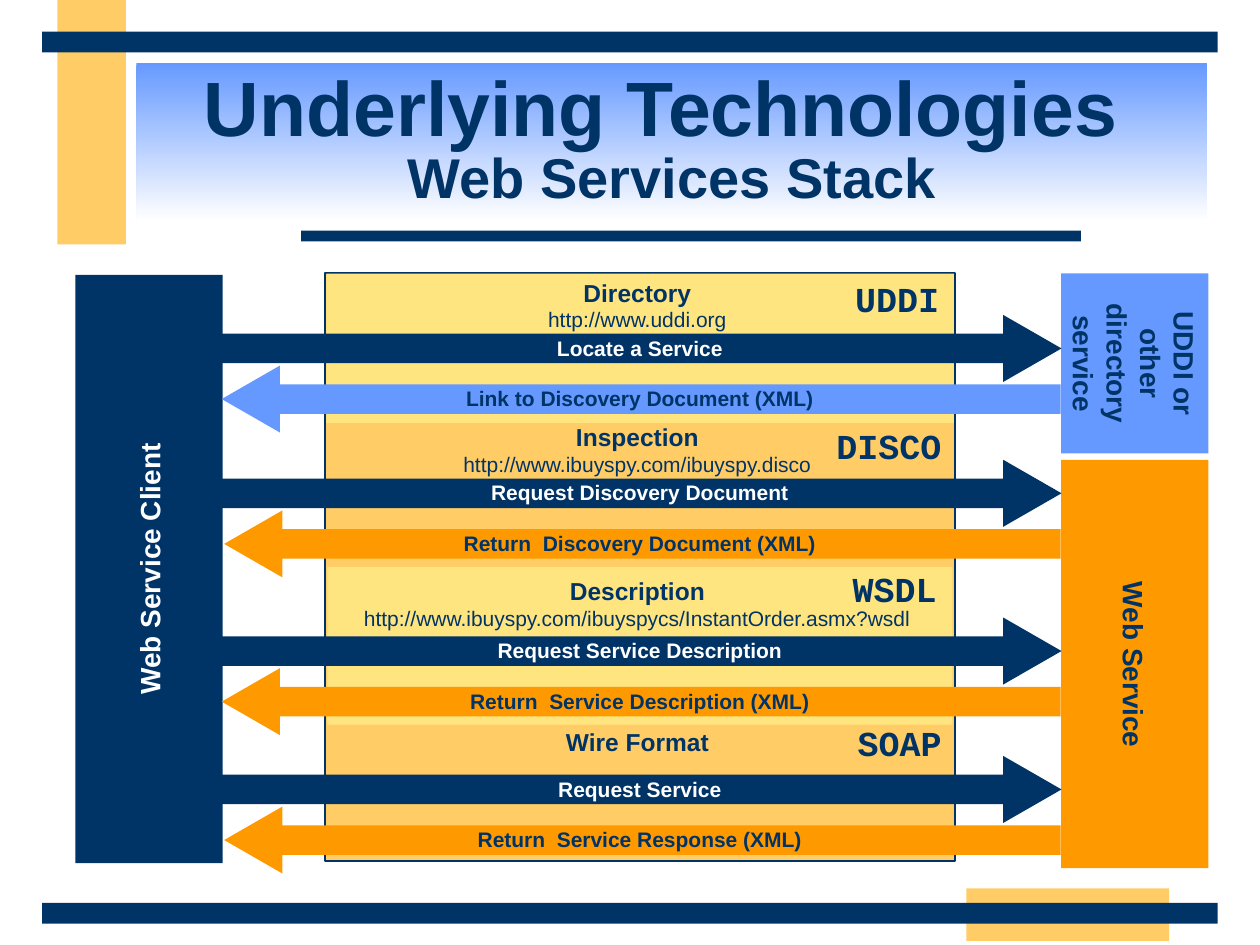
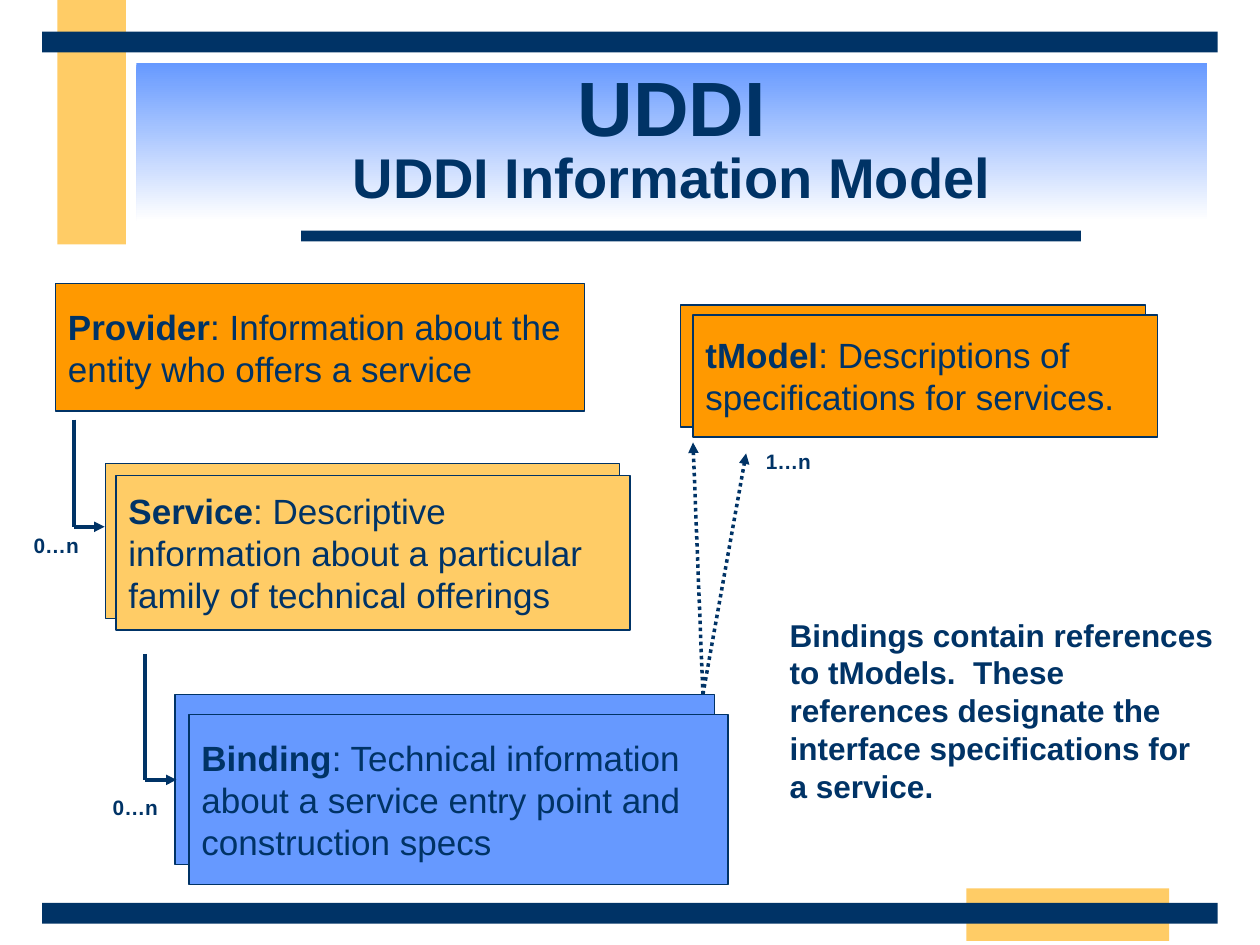
import lxml.etree
import pptx
import pptx.dml.color
import pptx.enum.dml
import pptx.enum.shapes
import pptx.enum.text
import pptx.oxml.ns
import pptx.util

Cm = pptx.util.Cm
Pt = pptx.util.Pt
RGBColor = pptx.dml.color.RGBColor
Kind = pptx.enum.shapes.MSO_SHAPE
Align = pptx.enum.text.PP_ALIGN
Anchor = pptx.enum.text.MSO_ANCHOR
qn = pptx.oxml.ns.qn

NAVY = RGBColor(0x00, 0x33, 0x66)
BLUE = RGBColor(0x66, 0x99, 0xFF)
ORANGE = RGBColor(0xFF, 0x99, 0x00)
GOLD = RGBColor(0xFF, 0xCC, 0x66)
CREAM = RGBColor(0xFF, 0xFF, 0x99)
WHITE = RGBColor(0xFF, 0xFF, 0xFF)

BANDS = [
    (1.16, 0, 1.38, 4.93, GOLD),
    (19.48, 17.91, 4.09, 1.06, GOLD),
    (6.07, 4.65, 15.72, 0.22, NAVY),
    (0.85, 18.2, 23.7, 0.42, NAVY),
    (0.85, 0.64, 23.7, 0.42, NAVY),
]


def write(par, text, size=12, color=NAVY, bold=True, font="Arial"):
    """Add a formatted run to a paragraph."""
    run = par.add_run()
    run.text = text
    run.font.name = font
    run.font.size = Pt(size)
    run.font.bold = bold
    run.font.color.rgb = color


class Deck:
    def __init__(self):
        self.show = pptx.Presentation()
        self.show.slide_width = Cm(25.4)
        self.show.slide_height = Cm(19.05)
        self.page = None

    def start(self, head, sub):
        """Open a slide with the shared bands and a two-line title."""
        self.page = self.show.slides.add_slide(self.show.slide_layouts[5])
        for *place, color in BANDS:
            self.block(*place, color)
        title = self.page.shapes.title
        title.left, title.top = Cm(2.75), Cm(1.27)
        title.width, title.height = Cm(21.59), Cm(3.18)
        title.fill.gradient()
        title.fill.gradient_angle = 270
        for stop, color in zip(title.fill.gradient_stops, (BLUE, WHITE)):
            stop.color.rgb = color
        frame = title.text_frame
        frame.vertical_anchor = Anchor.MIDDLE
        par = frame.paragraphs[0]
        par.alignment = Align.CENTER
        par.line_spacing = 0.85
        write(par, head, size=44)
        par.add_line_break()
        write(par, sub, size=32)

    def block(self, x, y, w, h, color, edge=0, kind=Kind.RECTANGLE):
        shape = self.page.shapes.add_shape(kind, Cm(x), Cm(y), Cm(w), Cm(h))
        shape.shadow.inherit = False
        shape.fill.solid()
        shape.fill.fore_color.rgb = color
        if edge:
            shape.line.color.rgb = NAVY
            shape.line.width = Pt(edge)
        else:
            shape.line.fill.background()
        return shape

    def veil(self, x, y, w, h):
        """Draw a half-transparent cream band."""
        shape = self.block(x, y, w, h, CREAM)
        tint = shape.fill._xPr.find(qn("a:solidFill"))[0]
        lxml.etree.SubElement(tint, qn("a:alpha")).set("val", "50000")

    def arrow(self, x, y, w, color, kind):
        shape = self.block(x, y, w, 1.35, color, kind=kind)
        shape.adjustments[0] = 0.44
        shape.adjustments[1] = 0.87

    def text(self, x, y, w, h, *lines, align=Align.CENTER, space=1.0,
             turn=0, **style):
        """Add a text box; a line is a string or (string, own style)."""
        box = self.page.shapes.add_textbox(Cm(x), Cm(y), Cm(w), Cm(h))
        box.rotation = turn
        frame = box.text_frame
        frame.word_wrap = True
        frame.vertical_anchor = Anchor.MIDDLE
        for i, line in enumerate(lines):
            par = frame.add_paragraph() if i else frame.paragraphs[0]
            par.alignment = align
            par.line_spacing = space
            words, own = (line, {}) if isinstance(line, str) else line
            write(par, words, **{**style, **own})

    def side(self, x, y, w, h, turn, *lines, **style):
        """Add turned text centred on x, y."""
        self.text(x - w / 2, y - h / 2, w, h, *lines, turn=turn, size=16,
                  **style)

    def card(self, x, y, w, h, color, term, rest):
        frame = self.block(x, y, w, h, color, edge=0.75).text_frame
        frame.word_wrap = True
        frame.vertical_anchor = Anchor.MIDDLE
        par = frame.paragraphs[0]
        par.alignment = Align.LEFT
        write(par, term, size=20)
        write(par, rest, size=20, bold=False)

    def line(self, x1, y1, x2, y2, head=True, dots=False):
        link = self.page.shapes.add_connector(
            pptx.enum.shapes.MSO_CONNECTOR.STRAIGHT,
            Cm(x1), Cm(y1), Cm(x2), Cm(y2))
        link.line.color.rgb = NAVY
        link.line.width = Pt(2)
        if dots:
            link.line.dash_style = pptx.enum.dml.MSO_LINE.ROUND_DOT
        if head:
            tip = lxml.etree.SubElement(link.line._get_or_add_ln(),
                                        qn("a:tailEnd"))
            tip.set("type", "triangle")
        lxml.etree.SubElement(link._element.spPr, qn("a:effectLst"))

    def elbow(self, x, top, low, end):
        self.line(x, top, x, low, head=False)
        self.line(x, low, end, low)


def stack(deck):
    deck.start("Underlying Technologies ", "Web Services Stack")
    deck.block(6.55, 5.5, 12.7, 11.86, GOLD, edge=1)
    deck.veil(6.58, 5.51, 12.65, 3.02)
    deck.veil(6.6, 11.43, 12.6, 3.18)
    deck.block(1.52, 5.54, 2.97, 11.86, NAVY)
    deck.block(21.39, 5.51, 2.97, 3.63, BLUE)
    deck.block(21.39, 9.27, 2.97, 8.23, ORANGE)

    # arrow top, reply tip, reply colour, request, reply
    calls = [
        (6.35, 4.47, BLUE, "Locate a Service",
         "Link to Discovery Document (XML)"),
        (9.27, 4.52, ORANGE, "Request Discovery Document",
         "Return  Discovery Document (XML)"),
        (12.45, 4.47, ORANGE, "Request Service Description",
         "Return  Service Description (XML)"),
        (15.24, 4.52, ORANGE, "Request Service",
         "Return  Service Response (XML)"),
    ]
    for top, tip, color, ask, reply in calls:
        back = top + 1.02
        deck.arrow(4.36, top, 17.04, NAVY, Kind.RIGHT_ARROW)
        deck.arrow(tip, back, 21.38 - tip, color, Kind.LEFT_ARROW)
        deck.text(6.55, top + 0.28, 12.7, 0.76, ask, color=WHITE)
        deck.text(6.55, back + 0.28, 12.7, 0.76, reply)

    # heading top, height, name, address, tag left, tag top, tag
    layers = [
        (5.46, 1.37, "Directory", "http://www.uddi.org",
         16.99, 5.46, "UDDI"),
        (8.38, 1.37, "Inspection", "http://www.ibuyspy.com/ibuyspy.disco",
         16.61, 8.43, "DISCO"),
        (11.48, 1.37, "Description",
         "http://www.ibuyspy.com/ibuyspycs/InstantOrder.asmx?wsdl",
         16.94, 11.3, "WSDL"),
        (14.53, 0.86, "Wire Format", "", 17.04, 14.4, "SOAP"),
    ]
    for top, high, name, link, x, y, tag in layers:
        lines = [(name, {"size": 14})]
        if link:
            lines.append((link, {"bold": False}))
        deck.text(6.5, top, 12.7, high, *lines)
        deck.text(x, y, 2.8, 1.12, tag, align=Align.LEFT, size=20,
                  font="Courier New")

    deck.side(3.01, 11.47, 6, 0.94, 270, "Web Service Client", color=WHITE)
    deck.side(22.87, 7.33, 3.4, 2.97, 90,
              "UDDI or", "other", "directory", "service")
    deck.side(22.86, 13.4, 5, 0.94, 90, "Web Service")


def model(deck):
    deck.start("UDDI", "UDDI Information Model")
    deck.card(1.12, 5.72, 10.67, 2.57, ORANGE, "Provider",
              ": Information about the entity who offers a service")

    # front place, size, shift of the card behind, colour, words
    piles = [
        (2.34, 9.58, 10.36, 3.12, 0.21, 0.23, GOLD, "Service",
         ": Descriptive information about a particular family of "
         "technical offerings"),
        (3.81, 14.4, 10.87, 3.43, 0.28, 0.4, BLUE, "Binding",
         ": Technical information about a service entry point and "
         "construction specs"),
        (13.97, 6.35, 9.37, 2.46, 0.25, 0.2, ORANGE, "tModel",
         ": Descriptions of specifications for services."),
    ]
    for x, y, w, h, dx, dy, color, term, rest in piles:
        deck.block(x - dx, y - dy, w, h, color, edge=0.75)
        deck.card(x, y, w, h, color, term, rest)

    deck.text(15.67, 11.89, 9.09, 4.85,
              "Bindings contain references to tModels.  These references "
              "designate the interface specifications for a service.",
              align=Align.LEFT, size=18)
    for x, y in ((13.97, 8.92), (15.04, 9.14)):
        deck.line(14.17, 14, x, y, dots=True)
    deck.elbow(1.49, 8.46, 10.62, 2.11)
    deck.elbow(2.92, 13.18, 15.72, 3.56)

    counts = [
        (0.84, 15.9, "0…n", Align.RIGHT),
        (0.43, 10.62, "0…n", Align.LEFT),
        (15.19, 8.94, "1…n", Align.LEFT),
    ]
    for x, y, count, align in counts:
        deck.text(x, y, 2.59, 0.79, count, align=align, space=0.9, size=11.9)


def main():
    deck = Deck()
    stack(deck)
    model(deck)
    deck.show.save("out.pptx")


if __name__ == "__main__":
    main()
